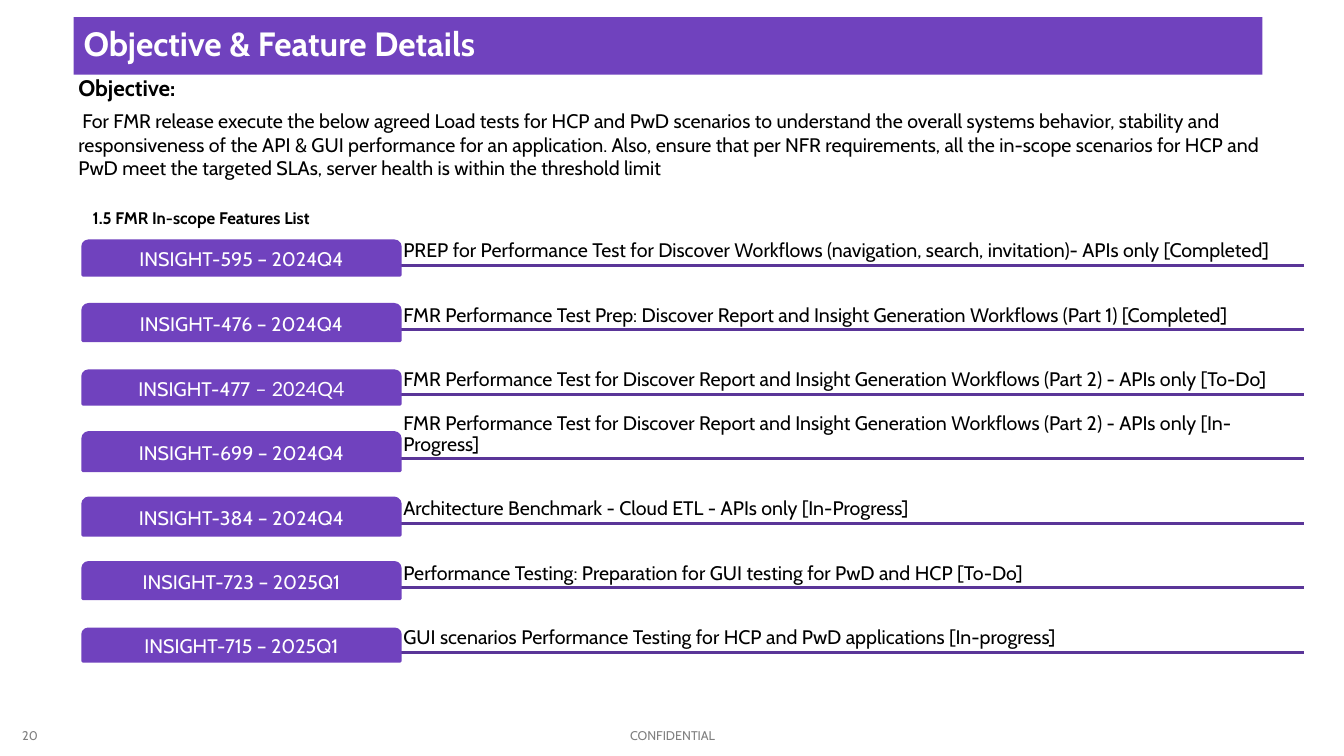
from lxml import etree
from pptx import Presentation
from pptx.dml.color import RGBColor
from pptx.enum.shapes import MSO_CONNECTOR, MSO_SHAPE
from pptx.enum.text import MSO_ANCHOR, PP_ALIGN
from pptx.oxml.ns import qn
from pptx.util import Pt

PX = 9144
RECTANGLE = MSO_SHAPE.RECTANGLE
TAB = MSO_SHAPE.ROUND_2_SAME_RECTANGLE
STRAIGHT = MSO_CONNECTOR.STRAIGHT
TOP, MIDDLE, BOTTOM = MSO_ANCHOR.TOP, MSO_ANCHOR.MIDDLE, MSO_ANCHOR.BOTTOM
LEFT, CENTER = PP_ALIGN.LEFT, PP_ALIGN.CENTER
PURPLE, DEEP_PURPLE = "7042BE", "5A3598"
BLACK, WHITE, GRAY = "000000", "FFFFFF", "808080"
MAIN_FONT, SECOND_FONT = "Cabin", "Lato"

OBJECTIVE = (
    "For FMR release execute the below agreed Load tests for HCP and PwD scenarios to "
    "understand the overall systems behavior, stability and responsiveness of the API & GUI "
    "performance for an application. Also, ensure that per NFR requirements, all the in-scope "
    "scenarios for HCP and PwD meet the targeted SLAs, server health is within the threshold limit"
)
FEATURES = [
    ("INSIGHT-595", " – 2024Q4", MAIN_FONT, 34,
     "PREP for Performance Test for Discover Workflows (navigation, search, invitation)- APIs only [Completed]"),
    ("INSIGHT-476", " – 2024Q4", MAIN_FONT, 36,
     "FMR Performance Test Prep: Discover Report and Insight Generation Workflows (Part 1) [Completed]"),
    ("INSIGHT-477", " – 2024Q4", SECOND_FONT, 33,
     "FMR Performance Test for Discover Report and Insight Generation Workflows (Part 2) - APIs only [To-Do]"),
    ("INSIGHT-699", " – 2024Q4", MAIN_FONT, 38,
     "FMR Performance Test for Discover Report and Insight Generation Workflows (Part 2) - APIs only [In-Progress]"),
    ("INSIGHT-384", " – 2024Q4", MAIN_FONT, 37,
     "Architecture Benchmark - Cloud ETL - APIs only [In-Progress]"),
    ("INSIGHT-723", " – 2025Q1", MAIN_FONT, 36,
     "Performance Testing: Preparation for GUI testing for PwD and HCP [To-Do]"),
    ("INSIGHT-715", " – 2025Q1", MAIN_FONT, 32,
     "GUI scenarios Performance Testing for HCP and PwD applications [In-progress]"),
]


def color(value):
    return RGBColor.from_string(value)


def px(*lengths):
    return [length * PX for length in lengths]


def set_frame(shape, anchor, insets):
    frame = shape.text_frame
    sides = ("margin_left", "margin_top", "margin_right", "margin_bottom")
    formats = dict(zip(sides, px(*insets)), word_wrap=True, vertical_anchor=anchor)
    for name, value in formats.items():
        setattr(frame, name, value)
    return frame


def write(para, text, size, ink, bold=False, font=MAIN_FONT, **paragraph_formats):
    for name, value in paragraph_formats.items():
        setattr(para, name, value)
    span = para.add_run()
    span.text = text
    for name, value in dict(name=font, size=Pt(size), bold=bold).items():
        setattr(span.font, name, value)
    span.font.color.rgb = color(ink)


def add_block(page, kind, box):
    block = page.shapes.add_shape(kind, *px(*box))
    block.shadow.inherit = False
    block.fill.solid()
    block.fill.fore_color.rgb = color(PURPLE)
    block.line.fill.background()
    return block


def add_text(page, box, anchor, insets):
    return set_frame(page.shapes.add_textbox(*px(*box)), anchor, insets)


def add_rule(page, left, right, y):
    rule = page.shapes.add_connector(STRAIGHT, *px(left, y, right, y))
    rule.line.color.rgb = color(DEEP_PURPLE)
    rule.line.width = Pt(2)
    etree.SubElement(rule._element.spPr, qn("a:effectLst"))


def add_title(page, box):
    frame = set_frame(add_block(page, RECTANGLE, box), MIDDLE, (10, 0, 10, 0))
    write(frame.paragraphs[0], "Objective & Feature Details", 24, WHITE, True,
          alignment=LEFT, line_spacing=0.85, space_after=Pt(6))


def add_objective(page, box):
    frame = add_text(page, box, MIDDLE, (10, 0, 10, 0))
    write(frame.paragraphs[0], "Objective:", 16, BLACK, True, space_after=Pt(6))
    para = frame.add_paragraph()
    para._p.get_or_add_pPr().set("indent", str(4 * PX))
    write(para, OBJECTIVE, 14, BLACK, space_after=Pt(6))


def add_features(page, box):
    left, top, width, height = box
    tab_width, pitch = 315, height // len(FEATURES)
    heading = add_text(page, (left, top, 333, 30), TOP, (10, 5, 10, 5))
    write(heading.paragraphs[0], "1.5 FMR In-scope Features List", 12, BLACK, True)
    for row, (key, quarter, quarter_font, tab_height, summary) in enumerate(FEATURES):
        rule_y = top + 62 + row * pitch
        add_rule(page, left, left + width, rule_y)
        frame = add_text(page, (left + tab_width, rule_y - 14, width - tab_width, 14),
                         BOTTOM, (3, 3, 3, 3))
        write(frame.paragraphs[0], summary, 14, BLACK, line_spacing=0.9)
        tab_top = rule_y - 7 - tab_height // 2
        tab = add_block(page, TAB, (left, tab_top, tab_width, tab_height))
        tab.line.color.rgb = color(PURPLE)
        tab.line.width = Pt(2)
        label = set_frame(tab, MIDDLE, (3, 5, 3, 2)).paragraphs[0]
        write(label, key, 14, WHITE, alignment=CENTER, line_spacing=0.9)
        write(label, quarter, 14, WHITE, font=quarter_font)


def add_footer(page, box):
    left, top, width, height = box
    parts = (("CONFIDENTIAL", 110, width - 110, CENTER), ("20", 0, 51, LEFT))
    for text, offset, part_width, alignment in parts:
        frame = add_text(page, (left + offset, top, part_width, height), BOTTOM, (0, 0, 0, 5))
        write(frame.paragraphs[0], text, 9, GRAY, alignment=alignment, line_spacing=0.8)


def main():
    deck = Presentation()
    deck.slide_width, deck.slide_height = px(1333, 750)
    page = deck.slides.add_slide(deck.slide_layouts[6])
    add_footer(page, (22, 720, 1180, 22))
    add_objective(page, (68, 73, 1197, 106))
    add_title(page, (73, 17, 1179, 57))
    add_features(page, (82, 201, 1211, 448))
    deck.save("out.pptx")


if __name__ == "__main__":
    main()
